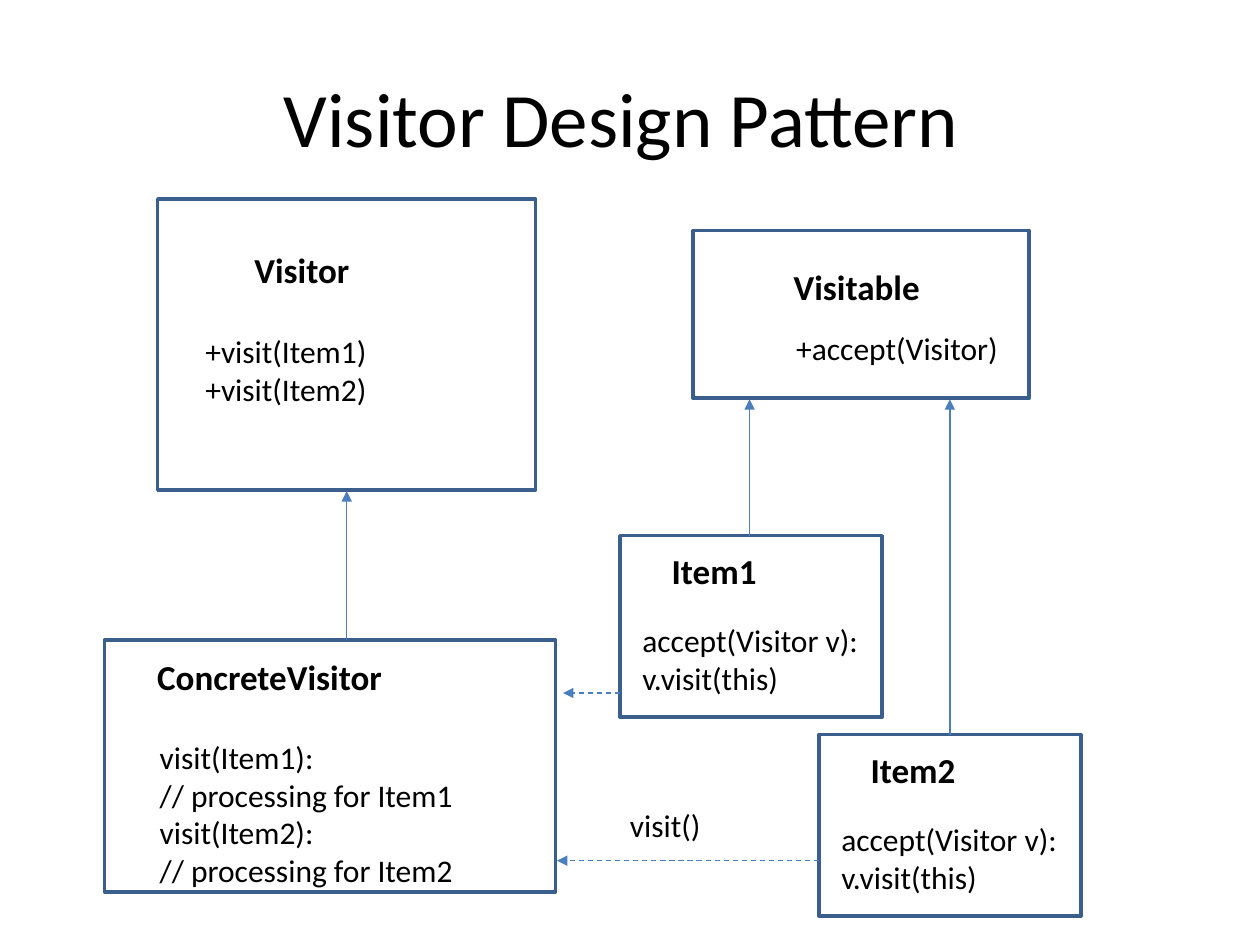
from lxml.etree import SubElement
from pptx import Presentation
from pptx.dml.color import RGBColor
from pptx.enum.dml import MSO_LINE
from pptx.enum.shapes import MSO_CONNECTOR, MSO_SHAPE
from pptx.enum.text import MSO_ANCHOR, PP_ALIGN
from pptx.oxml.ns import qn
from pptx.util import Cm, Pt

COLORS = {"text": "000000", "border": "3A5F8C", "arrow": "4B7EBC"}


def color(name):
    return RGBColor.from_string(COLORS[name])


def write(tf, text, size=18, bold=False, align=PP_ALIGN.LEFT):
    for i, line in enumerate(text.split("\n")):
        p = tf.paragraphs[0] if i == 0 else tf.add_paragraph()
        p.alignment = align
        r = p.add_run()
        r.text = line
        r.font.name = "Calibri"
        r.font.size = Pt(size)
        r.font.bold = bold
        r.font.color.rgb = color("text")


class Diagram:
    def __init__(self, s):
        self.s = s

    def text(self, x, y, w, h, text, wrap=False, anchor=MSO_ANCHOR.TOP, **fmt):
        sp = self.s.shapes.add_textbox(Cm(x), Cm(y), Cm(w), Cm(h))
        tf = sp.text_frame
        tf.word_wrap = wrap
        tf.vertical_anchor = anchor
        write(tf, text, **fmt)

    def box(self, x, y, w, h):
        sp = self.s.shapes.add_shape(MSO_SHAPE.RECTANGLE, Cm(x), Cm(y), Cm(w), Cm(h))
        sp.shadow.inherit = False
        sp.fill.background()
        sp.line.color.rgb = color("border")
        sp.line.width = Pt(2)

    def class_box(self, frame, name, name_at, methods, methods_at):
        x, y = frame[:2]
        self.box(*frame)
        for text, (dx, dy, w), size, bold in (
            (name, name_at, 20, True),
            (methods, methods_at, 18, False),
        ):
            height = 0.25 + 0.77 * size / 18 * len(text.split("\n"))
            self.text(x + dx, y + dy, w, height, text, size=size, bold=bold)

    def arrow(self, x1, y1, x2, y2, dashed=False):
        c = self.s.shapes.add_connector(
            MSO_CONNECTOR.STRAIGHT, Cm(x1), Cm(y1), Cm(x2), Cm(y2))
        c.line.color.rgb = color("arrow")
        c.line.width = Pt(0.75)
        if dashed:
            c.line.dash_style = MSO_LINE.DASH
        SubElement(c.line._get_or_add_ln(), qn("a:tailEnd"), type="triangle")
        SubElement(c._element.spPr, qn("a:effectLst"))


prs = Presentation()
prs.slide_width, prs.slide_height = Cm(25.4), Cm(19.05)
d = Diagram(prs.slides.add_slide(prs.slide_layouts[6]))

d.text(1.27, 0.76, 22.86, 3.18, "Visitor Design Pattern ", wrap=True,
       anchor=MSO_ANCHOR.MIDDLE, size=44, align=PP_ALIGN.CENTER)

d.class_box((13.97, 4.65, 6.78, 3.38), "Visitable", (1.78, 0.58, 3.07),
            "+accept(Visitor)", (1.83, 1.85, 4.78))
d.class_box((3.18, 4.01, 7.62, 5.87), "Visitor", (1.7, 0.87, 2.44),
            "+visit(Item1)\n+visit(Item2)", (0.71, 2.56, 3.78))
d.class_box((2.11, 12.9, 9.09, 5.08), "ConcreteVisitor", (0.81, 0.18, 5.08),
            "visit(Item1):\n// processing for Item1\n"
            "visit(Item2):\n// processing for Item2", (0.86, 1.85, 6.48))
for name, x, y in (("Item1", 12.5, 10.8), ("Item2", 16.51, 14.81)):
    d.class_box((x, y, 5.28, 3.66), name, (0.79, 0.16, 2.24),
                "accept(Visitor v):\nv.visit(this)", (0.2, 1.6, 5.05))

for x, start, end in ((6.99, 12.9, 9.9), (15.11, 10.8, 8.05), (19.15, 14.81, 8.05)):
    d.arrow(x, start, x, end)
for y, start, end in ((13.97, 12.5, 11.35), (17.35, 16.51, 11.23)):
    d.arrow(start, y, end, y, dashed=True)
d.text(12.45, 16.13, 1.96, 1.02, "visit()")

prs.save("out.pptx")
